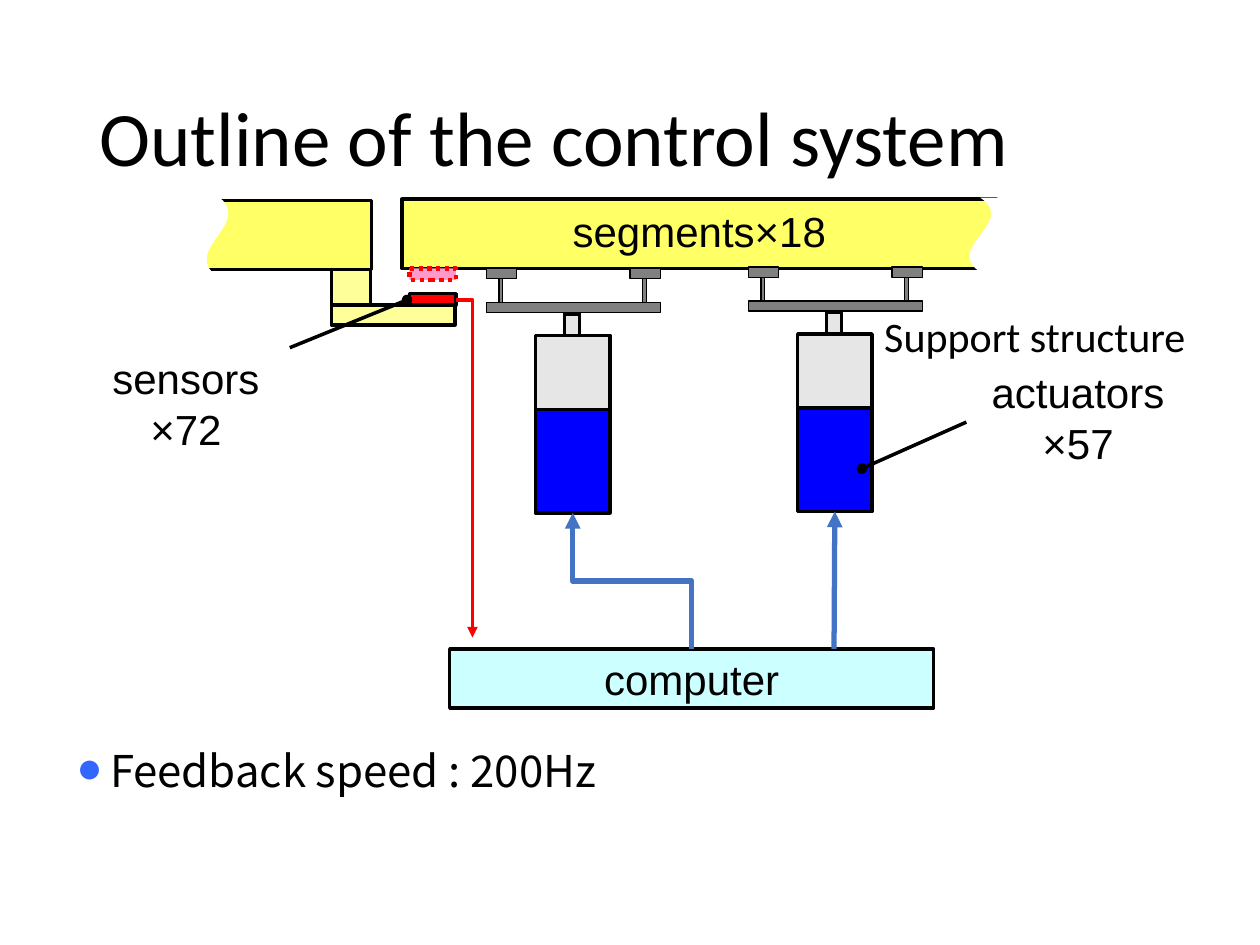
from pptx import Presentation
from pptx.dml.color import RGBColor
from pptx.enum.dml import MSO_LINE
from pptx.enum.shapes import MSO_CONNECTOR as Connector, MSO_SHAPE as Shape
from pptx.enum.text import MSO_ANCHOR as Anchor, PP_ALIGN as Align
from pptx.oxml.ns import qn
from pptx.oxml.xmlchemy import OxmlElement
from pptx.util import Pt

COLORS = {
    "black": "000000", "white": "FFFFFF", "segment": "FFFF66",
    "bracket": "FFFF99", "sensor": "FF0000", "target": "FF99CC",
    "steel": "808080", "housing": "E7E6E6", "actuator": "0000FF",
    "computer": "CCFFFF", "signal": "4472C4", "bullet": "3366FF",
}


def write(shape, text, size=24, font="Arial", align=Align.CENTER, anchor=Anchor.TOP,
          insets=(7.2, 3.6, 7.2, 3.6), wrap=True, spacing=None, after=0, bullet=None):
    frame = shape.text_frame
    frame.word_wrap = wrap
    frame.vertical_anchor = anchor
    frame.margin_left, frame.margin_top, frame.margin_right, frame.margin_bottom = map(Pt, insets)
    paragraph = frame.paragraphs[0]
    paragraph.text = text
    paragraph.alignment = align
    paragraph.space_before = Pt(0)
    paragraph.space_after = Pt(after)
    if spacing:
        paragraph.line_spacing = spacing
    if bullet:
        properties = paragraph._p.get_or_add_pPr()
        properties.set("marL", str(Pt(17.5)))
        properties.set("indent", str(-Pt(17.5)))
        color = OxmlElement("a:buClr")
        value = OxmlElement("a:srgbClr")
        value.set("val", COLORS["bullet"])
        color.append(value)
        properties.append(color)
        for tag, name, setting in (("a:buSzPct", "val", "48000"),
                                   ("a:buFont", "typeface", font),
                                   ("a:buChar", "char", bullet)):
            element = OxmlElement(tag)
            element.set(name, setting)
            properties.append(element)
    for run in paragraph.runs:
        run.font.size = Pt(size)
        run.font.name = font
        run.font.color.rgb = RGBColor.from_string(COLORS["black"])


def add_box(parent, left, top, width, height, fill, line="black", weight=2, kind=Shape.RECTANGLE):
    shape = parent.shapes.add_shape(kind, Pt(left), Pt(top), Pt(width), Pt(height))
    shape.shadow.inherit = False
    shape.fill.solid()
    shape.fill.fore_color.rgb = RGBColor.from_string(COLORS[fill])
    if line:
        shape.line.color.rgb = RGBColor.from_string(COLORS[line])
        shape.line.width = Pt(weight)
    else:
        shape.line.fill.background()
    return shape


presentation = Presentation()
presentation.slide_width, presentation.slide_height = Pt(720), Pt(540)
slide = presentation.slides.add_slide(presentation.slide_layouts[6])

title = slide.shapes.add_textbox(Pt(49.7), Pt(28.8), Pt(620.6), Pt(104.4))
write(title, "Outline of the control system", size=44, font="Calibri",
      align=Align.LEFT, anchor=Anchor.MIDDLE, spacing=0.9)

segment = add_box(slide, 229.7, 113.8, 339.8, 39.6, "segment")
write(segment, "segments×18", after=9)

actuators = []
for left, top in ((277.9, 153.4), (427.7, 152.6)):
    support = slide.shapes.add_group_shape()
    add_box(support, left + 44.6, top + 25.9, 8.6, 13.7, "housing")
    for offset in (7.2, 89.3):
        add_box(support, left + offset, top + 4.3, 2.2, 17.3, "steel", weight=0.75)
    actuators.append(add_box(support, left + 28.1, top + 79.9, 42.5, 59.8, "actuator"))
    add_box(support, left + 28.1, top + 38.2, 42.5, 42.5, "housing")
    for offset in (0, 82.1):
        add_box(support, left + offset, top, 17.3, 5.8, "steel", weight=0.75)
    add_box(support, left, top + 19.4, 99.4, 5.8, "steel", weight=0.75)

sensor_mount = slide.shapes.add_group_shape()
add_box(sensor_mount, 189.4, 152.6, 22.3, 22.3, "bracket")
add_box(sensor_mount, 189.4, 174.2, 70.6, 11.5, "bracket")
add_box(sensor_mount, 234, 167.8, 26.6, 6.5, "sensor")
target = add_box(sensor_mount, 234, 153.4, 26.6, 6.5, "target", line="sensor", weight=2.5)
target.line.dash_style = MSO_LINE.ROUND_DOT

add_box(slide, 112.3, 114.5, 100.1, 39.6, "segment")
computer = add_box(slide, 257, 370.8, 276.5, 33.8, "computer")
write(computer, "computer", anchor=Anchor.MIDDLE, wrap=False)

for left, top, width in ((557.3, 109.4, 42.5), (82.8, 110.2, 46.1)):
    wave = add_box(slide, left, top, width, 49.7, "white", line=None, kind=Shape.WAVE)
    wave.adjustments[0], wave.adjustments[1] = 0.13, 0
    wave.rotation = 90

connectors = {}
for name, kind, begin, end, color, weight, head in (
    ("sensor label", Connector.STRAIGHT, (165.6, 198.7), (232.6, 171.4), "black", 2, "oval"),
    ("actuator label", Connector.STRAIGHT, (552.2, 241.2), (492.5, 267.8), "black", 2, "oval"),
    ("feedback", Connector.ELBOW, (260.6, 171.4), (270, 364.3), "sensor", 2, "triangle"),
    ("left command", Connector.ELBOW, (395.25, 370.8), (327.25, 293.1), "signal", 3, "triangle"),
    ("right command", Connector.STRAIGHT, (476.6, 370.8), (477.05, 292.3), "signal", 3, "triangle"),
):
    connector = slide.shapes.add_connector(kind, *map(Pt, begin + end))
    connector.line.color.rgb = RGBColor.from_string(COLORS[color])
    connector.line.width = Pt(weight)
    properties = connector._element.spPr
    tail = OxmlElement("a:tailEnd")
    tail.set("type", head)
    properties.find(qn("a:ln")).append(tail)
    properties.append(OxmlElement("a:effectLst"))
    connectors[name] = connector

connectors["feedback"]._element.spPr.find(qn("a:prstGeom")).set("prst", "bentConnector2")
connectors["right command"].end_connect(actuators[1], 2)

left_command = connectors["left command"]
left_command.begin_connect(computer, 0)
left_command.end_connect(actuators[0], 2)
left_command.left, left_command.top = Pt(322.4), Pt(297.95)
left_command.width, left_command.height = Pt(77.7), Pt(68)
transform = left_command._element.spPr.find(qn("a:xfrm"))
for name, value in (("rot", "16200000"), ("flipH", "0"), ("flipV", "1")):
    transform.set(name, value)

for text, left, top in (("actuators\v×57", 542.2, 209.5), ("sensors\v×72", 32.4, 201.6)):
    label = slide.shapes.add_textbox(Pt(left), Pt(top), Pt(147.6), Pt(29.5))
    write(label, text, insets=(0, 0, 0, 0), after=9)

support_label = slide.shapes.add_textbox(Pt(498.2), Pt(174.2), Pt(188.6), Pt(36))
write(support_label, "Support structure", font="Calibri", align=Align.LEFT, wrap=False)

feedback_note = slide.shapes.add_textbox(Pt(39.6), Pt(415.4), Pt(595.4), Pt(43.9))
write(feedback_note, "Feedback speed : 200Hz", size=25, font="Noto Sans CJK JP",
      align=Align.LEFT, insets=(5.8, 3.6, 7.2, 3.6), spacing=1.2, bullet="●")

presentation.save("out.pptx")
